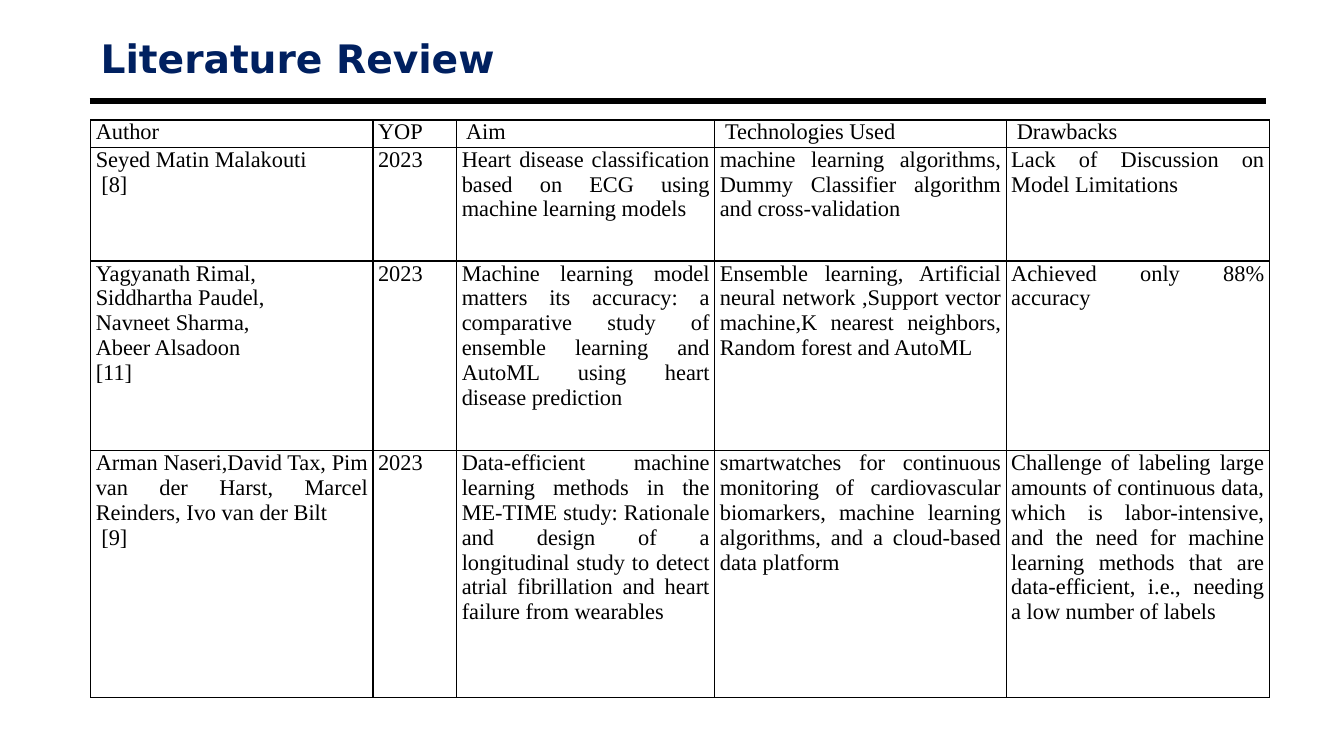
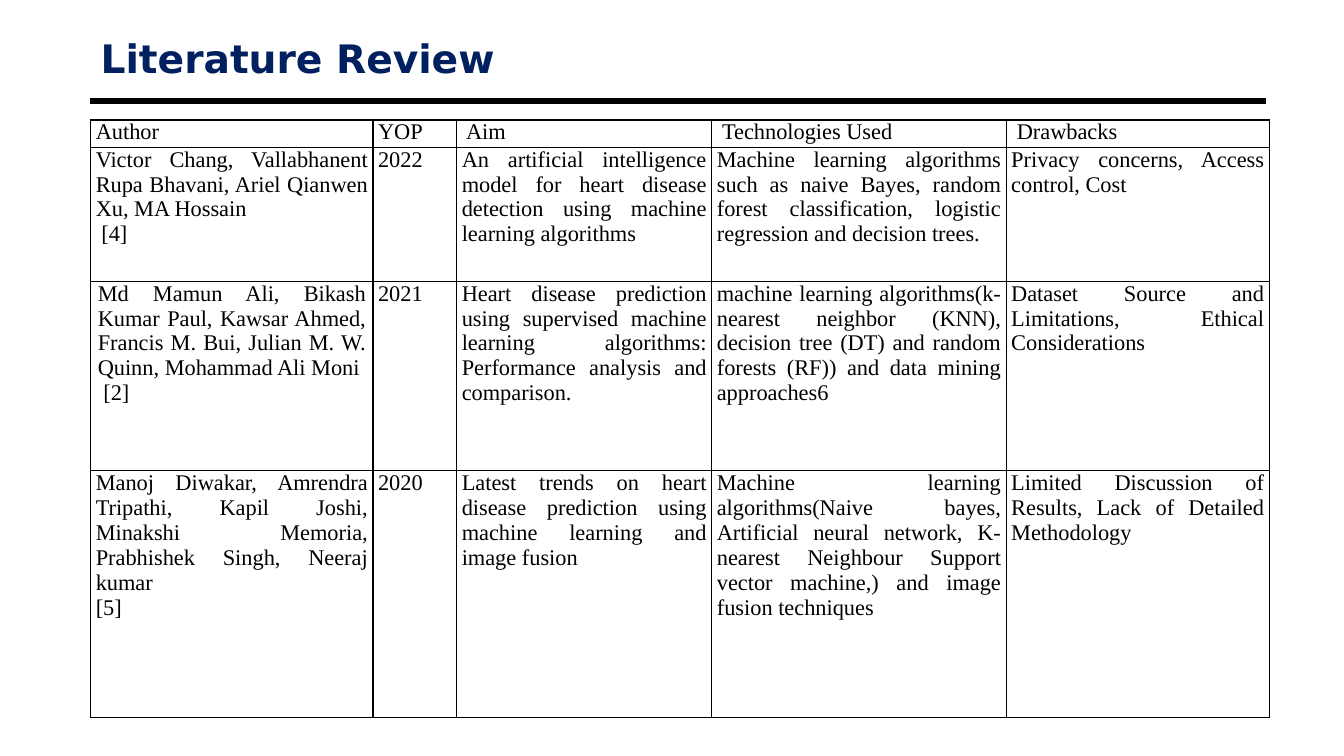
import pptx
import pptx.util
import pptx.dml.color
import pptx.enum.shapes
import pptx.enum.text
import lxml.etree

TITLE = "Literature Review"
HEADINGS = ["Author", "YOP", " Aim", " Technologies Used", " Drawbacks"]
REVIEWS = [
    {
        "columns": [2.8, 0.83, 2.56, 2.89, 2.61],
        "rows": [0.27, 1.13, 1.88, 2.45],
        "papers": [
            ("Seyed Matin Malakouti\n [8]", "2023",
             "Heart disease classification based on ECG using machine learning models",
             "machine learning algorithms, Dummy Classifier algorithm and cross-validation",
             "Lack of Discussion on Model Limitations"),
            ("Yagyanath Rimal,\nSiddhartha Paudel,\nNavneet Sharma,\nAbeer Alsadoon\n[11]", "2023",
             "Machine learning model matters its accuracy: a comparative study "
             "of ensemble learning and AutoML using heart disease prediction",
             "Ensemble learning, Artificial neural network ,Support vector machine,"
             "K nearest neighbors, Random forest and AutoML",
             "Achieved only 88% accuracy"),
            ("Arman Naseri,David Tax, Pim van der Harst, Marcel Reinders, Ivo van der Bilt\n [9]", "2023",
             "Data-efficient machine learning methods in the ME-TIME study: Rationale and design "
             "of a longitudinal study to detect atrial fibrillation and heart failure from wearables",
             "smartwatches for continuous monitoring of cardiovascular biomarkers, "
             "machine learning algorithms, and a cloud-based data platform",
             "Challenge of labeling large amounts of continuous data, which is labor-intensive, "
             "and the need for machine learning methods that are data-efficient, i.e., "
             "needing a low number of labels"),
        ],
    },
    {
        "columns": [2.8, 0.83, 2.53, 2.92, 2.61],
        "rows": [0.27, 1.33, 1.88, 2.45],
        "papers": [
            ("Victor Chang, Vallabhanent Rupa Bhavani, Ariel Qianwen Xu, MA Hossain\n [4]", "2022",
             "An artificial intelligence model for heart disease detection using machine learning algorithms",
             "Machine learning algorithms such as naive Bayes, random forest classification, "
             "logistic regression and decision trees.",
             "Privacy concerns, Access control, Cost"),
            ("Md Mamun Ali, Bikash Kumar Paul, Kawsar Ahmed, Francis M. Bui, "
             "Julian M. W. Quinn, Mohammad Ali Moni\n [2]", "2021",
             "Heart disease prediction using supervised machine learning algorithms: "
             "Performance analysis and comparison.",
             "machine learning algorithms(k-nearest neighbor (KNN), decision tree (DT) "
             "and random forests (RF)) and data mining approaches6",
             "Dataset Source and Limitations, Ethical Considerations"),
            ("Manoj Diwakar, Amrendra Tripathi, Kapil Joshi, Minakshi Memoria, "
             "Prabhishek Singh, Neeraj kumar\n[5]", "2020",
             "Latest trends on heart disease prediction using machine learning and image fusion",
             "Machine learning algorithms(Naive bayes, Artificial neural network, "
             "K-nearest Neighbour Support vector machine,) and image fusion techniques",
             "Limited Discussion of Results, Lack of Detailed Methodology"),
        ],
    },
]
WIDE_INSETS = {(1, 2, 0): 0.07}
CELL_INSET = 0.05
LEFT = 0.9
NAVY, BLACK = "002060", "000000"
inch = pptx.util.Inches


def colour(code):
    return pptx.dml.color.RGBColor.from_string(code)


def set_font(paragraph, name, size, code, bold=False):
    font = paragraph.font
    font.name, font.size, font.bold = name, pptx.util.Pt(size), bold
    font.color.rgb = colour(code)


def add_rule(page):
    rule = page.shapes.add_connector(
        pptx.enum.shapes.MSO_CONNECTOR.STRAIGHT, inch(0.89), inch(1), inch(12.56), inch(1))
    rule.line.color.rgb = colour(BLACK)
    rule.line.width = pptx.util.Pt(4.5)
    lxml.etree.SubElement(rule._element.spPr, pptx.oxml.ns.qn("a:effectLst"))


def add_title(page):
    box = page.shapes.add_textbox(inch(LEFT), inch(0.29), inch(8.97), inch(0.88))
    box.text_frame.word_wrap = True
    box.text_frame.text = TITLE
    set_font(box.text_frame.paragraphs[0], "DejaVu Sans", 28, NAVY, True)


def add_borders(cell):
    qn = pptx.oxml.ns.qn
    properties = cell._tc.get_or_add_tcPr()
    for position, side in enumerate(("a:lnL", "a:lnR", "a:lnT", "a:lnB")):
        line = lxml.etree.Element(qn(side), w=str(pptx.util.Pt(1)))
        fill = lxml.etree.SubElement(line, qn("a:solidFill"))
        lxml.etree.SubElement(fill, qn("a:srgbClr"), val=BLACK)
        properties.insert(position, line)


def fill_cell(cell, text, inset):
    cell.margin_left = cell.margin_right = inch(inset)
    cell.margin_top = cell.margin_bottom = 0
    cell.fill.background()
    add_borders(cell)
    cell.text = text
    for paragraph in cell.text_frame.paragraphs:
        paragraph.alignment = pptx.enum.text.PP_ALIGN.JUSTIFY
        set_font(paragraph, "Times New Roman", 16, BLACK)


def add_review(page, number, review):
    widths, heights = review["columns"], review["rows"]
    table = page.shapes.add_table(
        len(heights), len(widths), inch(LEFT), inch(1.19),
        inch(sum(widths)), inch(sum(heights))).table
    table.first_row = table.horz_banding = False
    for column, width in zip(table.columns, widths):
        column.width = inch(width)
    for row, height in zip(table.rows, heights):
        row.height = inch(height)
    for r, texts in enumerate([HEADINGS, *review["papers"]]):
        for c, text in enumerate(texts):
            fill_cell(table.cell(r, c), text, WIDE_INSETS.get((number, r, c), CELL_INSET))


def main():
    deck = pptx.Presentation()
    deck.slide_width, deck.slide_height = inch(13.33), inch(7.5)
    for number, review in enumerate(REVIEWS):
        page = deck.slides.add_slide(deck.slide_layouts[6])
        add_rule(page)
        add_review(page, number, review)
        add_title(page)
    deck.save("out.pptx")


if __name__ == "__main__":
    main()
